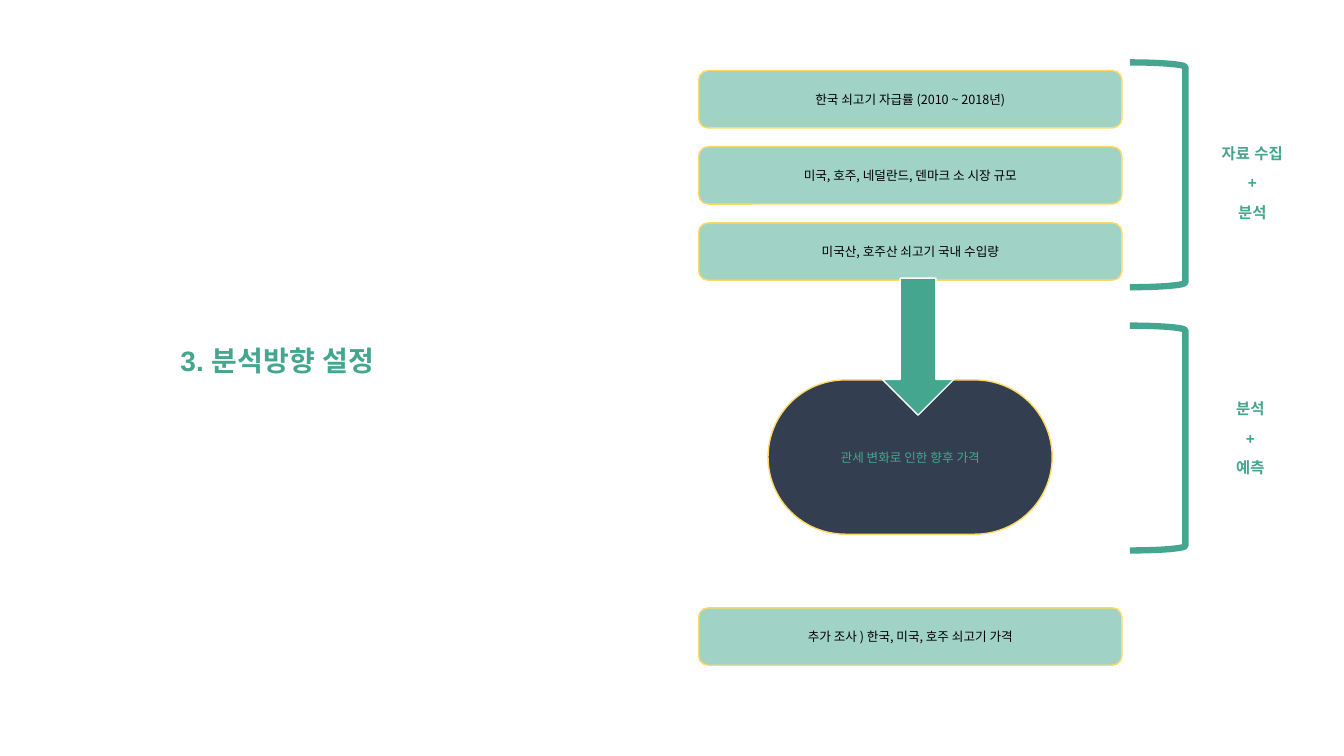
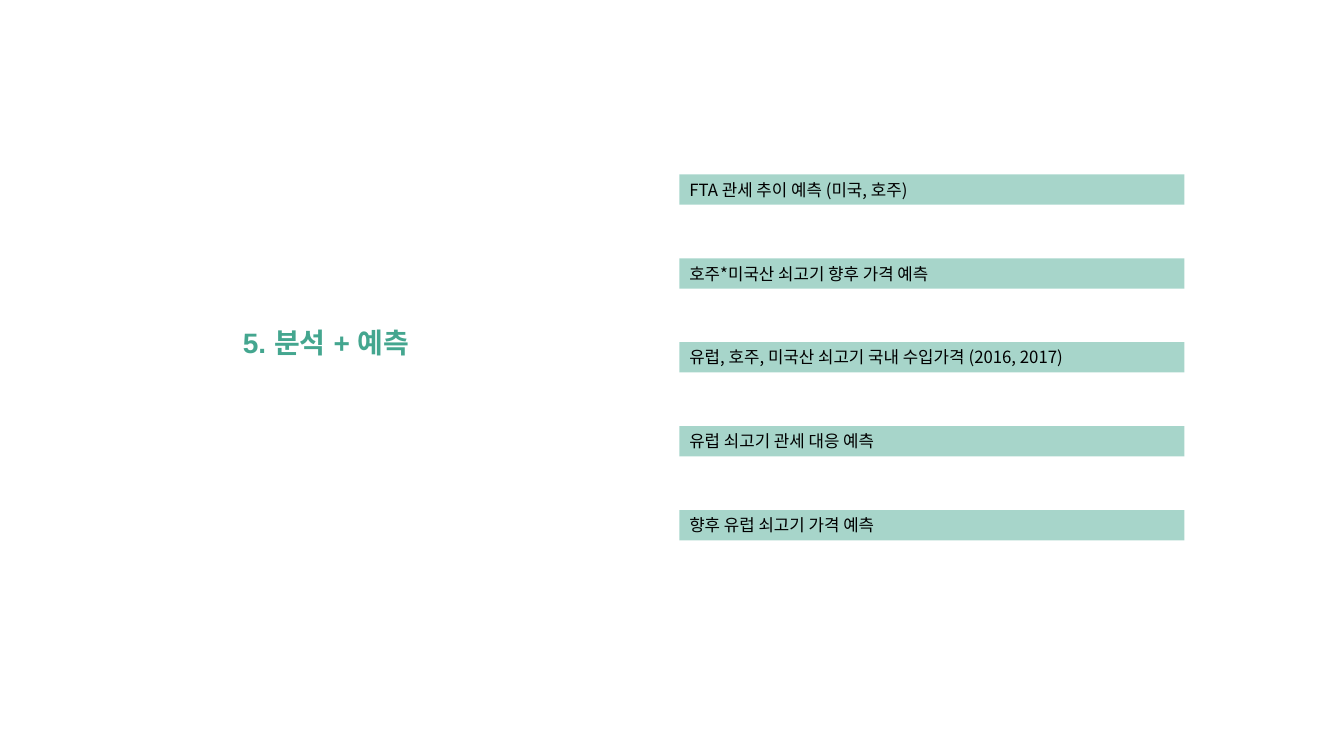
from dataclasses import dataclass

from lxml.etree import SubElement
from pptx import Presentation
from pptx.dml.color import RGBColor
from pptx.enum.shapes import MSO_SHAPE as Shape
from pptx.enum.text import MSO_ANCHOR as Anchor, MSO_AUTO_SIZE as AutoSize, PP_ALIGN as Align
from pptx.oxml.ns import qn
from pptx.util import Pt


@dataclass(frozen=True)
class Theme:
    green: str = "44A68F"
    gold: str = "FFD966"
    navy: str = "333F50"
    black: str = "000000"
    white: str = "FFFFFF"
    heading_font: str = "Arial"
    body_font: str = "Noto Sans CJK KR"
    title_size: float = 20
    label_size: float = 11
    bar_size: float = 12
    box_size: float = 9
    heading_spacing: float = 1.6


THEME = Theme()

# Content
DIRECTION_TITLE = "3. 분석방향 설정"
SOURCES = [
    "한국 쇠고기 자급률 (2010 ~ 2018년)",
    "미국, 호주, 네덜란드, 덴마크 소 시장 규모",
    "미국산, 호주산 쇠고기 국내 수입량",
]
EXTRA_SURVEY = "추가 조사 ) 한국, 미국, 호주 쇠고기 가격"
OUTCOME = "관세 변화로 인한 향후 가격"
# bracket top, label centre, label top, label lines
STAGES = [
    (44.6, 894.6, 91.4, ["자료 수집", "+", "분석"]),
    (232.6, 893.2, 273.6, ["분석", "+", "예측"]),
]
FORECAST_TITLE = "5. 분석 + 예측"
FORECASTS = [
    "FTA 관세 추이 예측 (미국, 호주)",
    "호주*미국산 쇠고기 향후 가격 예측",
    "유럽, 호주, 미국산 쇠고기 국내 수입가격 (2016, 2017)",
    "유럽 쇠고기 관세 대응 예측",
    "향후 유럽 쇠고기 가격 예측",
]

# Grids, in points
BOX_LEFT, BOX_TOP, BOX_WIDTH, BOX_HEIGHT, BOX_PITCH = 499, 50.4, 302.4, 41, 54.4
EXTRA_TOP = 434.2
BAR_LEFT, BAR_TOP, BAR_WIDTH, BAR_HEIGHT, BAR_PITCH = 485.3, 124.6, 360.7, 21.6, 59.94
LABEL_WIDTH, LABEL_HEIGHT = 62.6, 71.3


def write(frame, lines, size, color, font, align, bold=False, spacing=None):
    for index, line in enumerate(lines):
        paragraph = frame.paragraphs[0] if index == 0 else frame.add_paragraph()
        paragraph.alignment = align
        if spacing:
            paragraph.line_spacing = spacing
        run = paragraph.add_run()
        run.text = line
        run.font.size, run.font.bold, run.font.name = Pt(size), bold, font
        run.font.color.rgb = RGBColor.from_string(color)
        SubElement(run.font._element, qn("a:ea")).set("typeface", font)


def write_heading(frame, lines, size, align):
    frame.vertical_anchor = Anchor.TOP
    frame.auto_size = AutoSize.SHAPE_TO_FIT_TEXT
    write(frame, lines, size, THEME.green, THEME.heading_font, align, True, THEME.heading_spacing)


def add_titled_slide(deck, text, left, top):
    slide = deck.slides.add_slide(deck.slide_layouts[5])
    title = slide.shapes.title
    title.left, title.top, title.width, title.height = Pt(left), Pt(top), Pt(199.4), Pt(40.3)
    title.text_frame.word_wrap = True
    write_heading(title.text_frame, [text], THEME.title_size, Align.JUSTIFY)
    return slide


def add_block(slide, kind, box, fill=None, opacity=100, line=None, weight=1):
    block = slide.shapes.add_shape(kind, *map(Pt, box))
    block.shadow.inherit = False
    if fill:
        block.fill.solid()
        block.fill.fore_color.rgb = RGBColor.from_string(fill)
        if opacity < 100:
            color = block.fill._xPr.find(qn("a:solidFill"))[0]
            SubElement(color, qn("a:alpha")).set("val", str(opacity * 1000))
    else:
        block.fill.background()
    if line:
        block.line.color.rgb = RGBColor.from_string(line)
        block.line.width = Pt(weight)
    else:
        block.line.fill.background()
    return block


def add_box(slide, box, text, fill=THEME.green, opacity=50, color=THEME.black):
    block = add_block(slide, Shape.ROUNDED_RECTANGLE, box, fill, opacity, THEME.gold)
    block.text_frame.vertical_anchor = Anchor.MIDDLE
    write(block.text_frame, [text], THEME.box_size, color, THEME.body_font, Align.CENTER)
    return block


def build_direction(deck):
    slide = add_titled_slide(deck, DIRECTION_TITLE, 121.7, 227.5)

    # Data boxes, with the extra survey below
    tops = [BOX_TOP + row * BOX_PITCH for row in range(len(SOURCES))] + [EXTRA_TOP]
    for top, text in zip(tops, SOURCES + [EXTRA_SURVEY]):
        add_box(slide, (BOX_LEFT, top, BOX_WIDTH, BOX_HEIGHT), text)

    # Outcome and the arrow leading to it
    outcome = add_box(slide, (548.6, 271.4, 203, 110.2), OUTCOME, THEME.navy, 100, THEME.green)
    outcome.adjustments[0] = 0.5
    add_block(slide, Shape.DOWN_ARROW, (630.2, 198.7, 51.1, 97.9), THEME.green, line=THEME.white)

    # Stage brackets and labels
    for bracket_top, center, label_top, lines in STAGES:
        add_block(slide, Shape.RIGHT_BRACKET, (807.1, bracket_top, 39.6, 160.6),
                  line=THEME.green, weight=4.5)
        label = slide.shapes.add_textbox(Pt(center - LABEL_WIDTH / 2), Pt(label_top),
                                         Pt(LABEL_WIDTH), Pt(LABEL_HEIGHT))
        label.text_frame.word_wrap = False
        write_heading(label.text_frame, lines, THEME.label_size, Align.CENTER)


def build_forecast(deck):
    slide = add_titled_slide(deck, FORECAST_TITLE, 166.3, 214.6)

    # Forecast bars
    for row, text in enumerate(FORECASTS):
        bar = add_block(slide, Shape.RECTANGLE,
                        (BAR_LEFT, BAR_TOP + row * BAR_PITCH, BAR_WIDTH, BAR_HEIGHT),
                        THEME.green, 47)
        frame = bar.text_frame
        frame.word_wrap = True
        frame.vertical_anchor = Anchor.TOP
        frame.auto_size = AutoSize.SHAPE_TO_FIT_TEXT
        write(frame, [text], THEME.bar_size, THEME.black, THEME.body_font, Align.LEFT)


def main():
    deck = Presentation()
    deck.slide_width, deck.slide_height = Pt(960), Pt(540)
    build_direction(deck)
    build_forecast(deck)
    deck.save("out.pptx")


if __name__ == "__main__":
    main()
